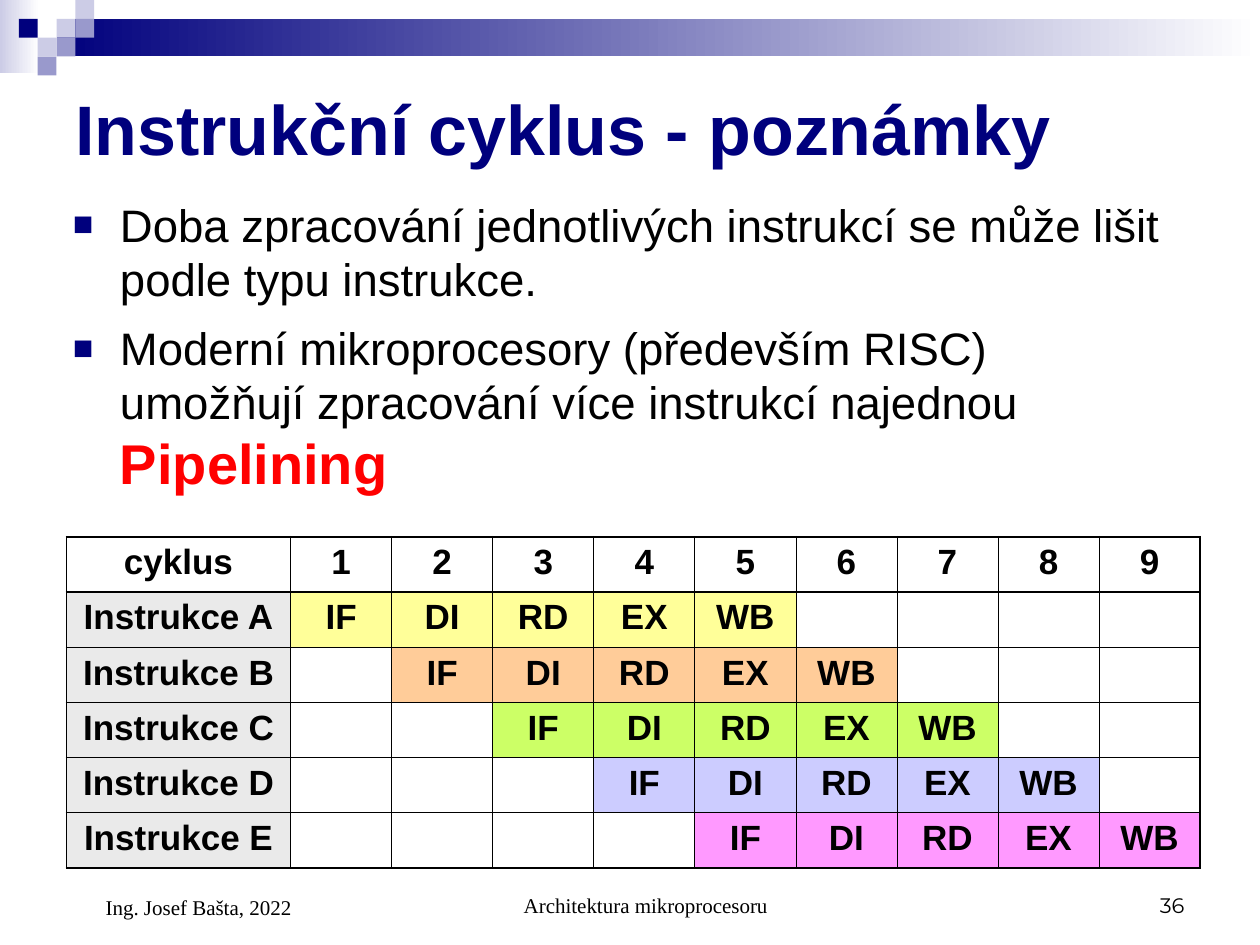
from lxml import etree
from pptx import Presentation
from pptx.dml.color import RGBColor
from pptx.enum import shapes, text
from pptx.oxml import ns
from pptx.util import Cm, Pt

NAVY = RGBColor(0x00, 0x00, 0x7D)
LAVENDER = RGBColor(0xCC, 0xCC, 0xE6)
PERIWINKLE = RGBColor(0x99, 0x99, 0xCC)
WHITE = RGBColor(0xFF, 0xFF, 0xFF)
BLACK = RGBColor(0x00, 0x00, 0x00)
RED = RGBColor(0xFF, 0x00, 0x00)
LABEL_GREY = RGBColor(0xEA, 0xEA, 0xEA)
YELLOW = RGBColor(0xFF, 0xFF, 0x99)
ORANGE = RGBColor(0xFF, 0xCC, 0x99)
GREEN = RGBColor(0xCC, 0xFF, 0x66)
BLUE = RGBColor(0xCC, 0xCC, 0xFF)
PINK = RGBColor(0xFF, 0x99, 0xFF)

TITLE = "Instrukční cyklus - poznámky"
NOTES = [
    "Doba zpracování jednotlivých instrukcí se může lišit podle typu instrukce.",
    "Moderní mikroprocesory (především RISC) umožňují zpracování více instrukcí najednou ",
]
KEYWORD = "Pipelining"
STAGES = ["IF", "DI", "RD", "EX", "WB"]
INSTRUCTIONS = [("Instrukce A", YELLOW), ("Instrukce B", ORANGE),
                ("Instrukce C", GREEN), ("Instrukce D", BLUE),
                ("Instrukce E", PINK)]
CYCLES = len(STAGES) + len(INSTRUCTIONS) - 1
AUTHOR, COURSE, PAGE = "Ing. Josef Bašta, 2022", "Architektura mikroprocesoru", "36"

# Column, row and colour of each corner square
SQUARE = 0.38
SQUARES = [(3, 1, LAVENDER), (4, 0, LAVENDER), (4, 1, PERIWINKLE),
           (2, 2, LAVENDER), (1, 1, NAVY), (3, 2, PERIWINKLE),
           (2, 3, PERIWINKLE)]

# Left, top, width, height in cm
TABLE = (1.34, 10.82, 22.86, 6.68)
LABEL_WIDTH = 4.52
THIN, THICK = Pt(0.45), Pt(1.08)


def add_box(slide, left, top, width, height, anchor):
    box = slide.shapes.add_textbox(Cm(left), Cm(top), Cm(width), Cm(height))
    frame = box.text_frame
    frame.word_wrap = True
    frame.vertical_anchor = anchor
    return frame


def write(paragraph, wording, size, font="Arial", color=BLACK, bold=False,
          align=text.PP_ALIGN.LEFT):
    paragraph.alignment = align
    run = paragraph.add_run()
    run.text = wording
    run.font.size = Pt(size)
    run.font.name = font
    run.font.color.rgb = color
    run.font.bold = bold


def indent(paragraph, left, first=0):
    properties = paragraph._p.get_or_add_pPr()
    properties.set("marL", str(Cm(left)))
    properties.set("indent", str(Cm(first)))
    return properties


def add_bullet(paragraph):
    properties = indent(paragraph, 0.95, -0.95)
    bullet_color = etree.SubElement(properties, ns.qn("a:buClr"))
    etree.SubElement(bullet_color, ns.qn("a:srgbClr"), val=str(NAVY))
    etree.SubElement(properties, ns.qn("a:buSzPct"), val="75000")
    etree.SubElement(properties, ns.qn("a:buFont"), typeface="Arial")
    etree.SubElement(properties, ns.qn("a:buChar"), char="■")


def add_rectangle(slide, left, top, width, height, color, fade=False):
    """Draw a plain rectangle, or one fading to white on the right."""
    rectangle = slide.shapes.add_shape(
        shapes.MSO_SHAPE.RECTANGLE, Cm(left), Cm(top), Cm(width), Cm(height))
    rectangle.shadow.inherit = False
    rectangle.line.fill.background()
    if fade:
        rectangle.fill.gradient()
        rectangle.fill.gradient_angle = 0
        for stop, shade in zip(rectangle.fill.gradient_stops, (color, WHITE)):
            stop.color.rgb = shade
    else:
        rectangle.fill.solid()
        rectangle.fill.fore_color.rgb = color


def set_borders(cell, **widths):
    properties = cell._tc.get_or_add_tcPr()
    for side in "LRTB":
        line = etree.SubElement(properties, ns.qn(f"a:ln{side}"), w=str(widths[side]))
        fill = etree.SubElement(line, ns.qn("a:solidFill"))
        etree.SubElement(fill, ns.qn("a:srgbClr"), val=str(BLACK))


def add_pipeline(slide):
    rows, columns = len(INSTRUCTIONS) + 1, CYCLES + 1
    left, top, width, height = TABLE
    table = slide.shapes.add_table(
        rows, columns, Cm(left), Cm(top), Cm(width), Cm(height)).table
    table.first_row = table.horz_banding = False
    for row in table.rows:
        row.height = Cm(height / rows)
    for column in table.columns:
        column.width = Cm((width - LABEL_WIDTH) / CYCLES)
    table.columns[0].width = Cm(LABEL_WIDTH)

    contents = {(0, 0): ("cyklus", None)}
    for cycle in range(1, columns):
        contents[0, cycle] = (str(cycle), None)
    for r, (name, color) in enumerate(INSTRUCTIONS, 1):
        contents[r, 0] = (name, LABEL_GREY)
        for c, stage in enumerate(STAGES, r):
            contents[r, c] = (stage, color)

    for r in range(rows):
        for c in range(columns):
            cell = table.cell(r, c)
            set_borders(cell,
                        L=THICK if c == 0 else THIN,
                        R=THICK if c == columns - 1 else THIN,
                        T=THICK if r <= 1 else THIN,
                        B=THICK if r in (0, rows - 1) else THIN)
            wording, color = contents.get((r, c), ("", None))
            if color is None:
                cell.fill.background()
            else:
                cell.fill.solid()
                cell.fill.fore_color.rgb = color
            if wording:
                write(cell.text_frame.paragraphs[0], wording, 20, bold=True,
                      align=text.PP_ALIGN.CENTER)


def main():
    deck = Presentation()
    deck.slide_width, deck.slide_height = Cm(25.4), Cm(19.05)
    slide = deck.slides.add_slide(deck.slide_layouts[6])

    add_rectangle(slide, 0, 0, 0.79, 1.47, LAVENDER, fade=True)
    add_rectangle(slide, 3 * SQUARE, SQUARE, 24.26, 2 * SQUARE, NAVY, fade=True)
    for column, row, color in SQUARES:
        add_rectangle(slide, column * SQUARE, row * SQUARE, SQUARE, SQUARE, color)

    middle, bottom = text.MSO_ANCHOR.MIDDLE, text.MSO_ANCHOR.BOTTOM
    title = add_box(slide, 1.27, 1.27, 22.86, 2.62, middle)
    write(title.paragraphs[0], TITLE, 40, color=NAVY, bold=True)

    body = add_box(slide, 1.22, 3.84, 22.86, 6.3, text.MSO_ANCHOR.TOP)
    for i, note in enumerate(NOTES):
        paragraph = body.add_paragraph() if i else body.paragraphs[0]
        add_bullet(paragraph)
        if i:
            paragraph.space_before = Pt(8)
        write(paragraph, note, 26)
    paragraph.add_line_break()
    write(paragraph, KEYWORD, 32, color=RED, bold=True)

    add_pipeline(slide)

    course = add_box(slide, 8.69, 17.35, 8.05, 1.27, bottom).paragraphs[0]
    indent(course, 0.61)
    write(course, COURSE, 12, "Times New Roman", align=text.PP_ALIGN.CENTER)
    page = add_box(slide, 18.21, 17.35, 5.92, 1.27, bottom).paragraphs[0]
    write(page, PAGE, 12, "Montserrat", align=text.PP_ALIGN.RIGHT)
    author = add_box(slide, 1.27, 17.35, 5.92, 1.32, bottom).paragraphs[0]
    indent(author, 0.61)
    write(author, AUTHOR, 12, "Times New Roman")

    deck.save("out.pptx")


if __name__ == "__main__":
    main()
